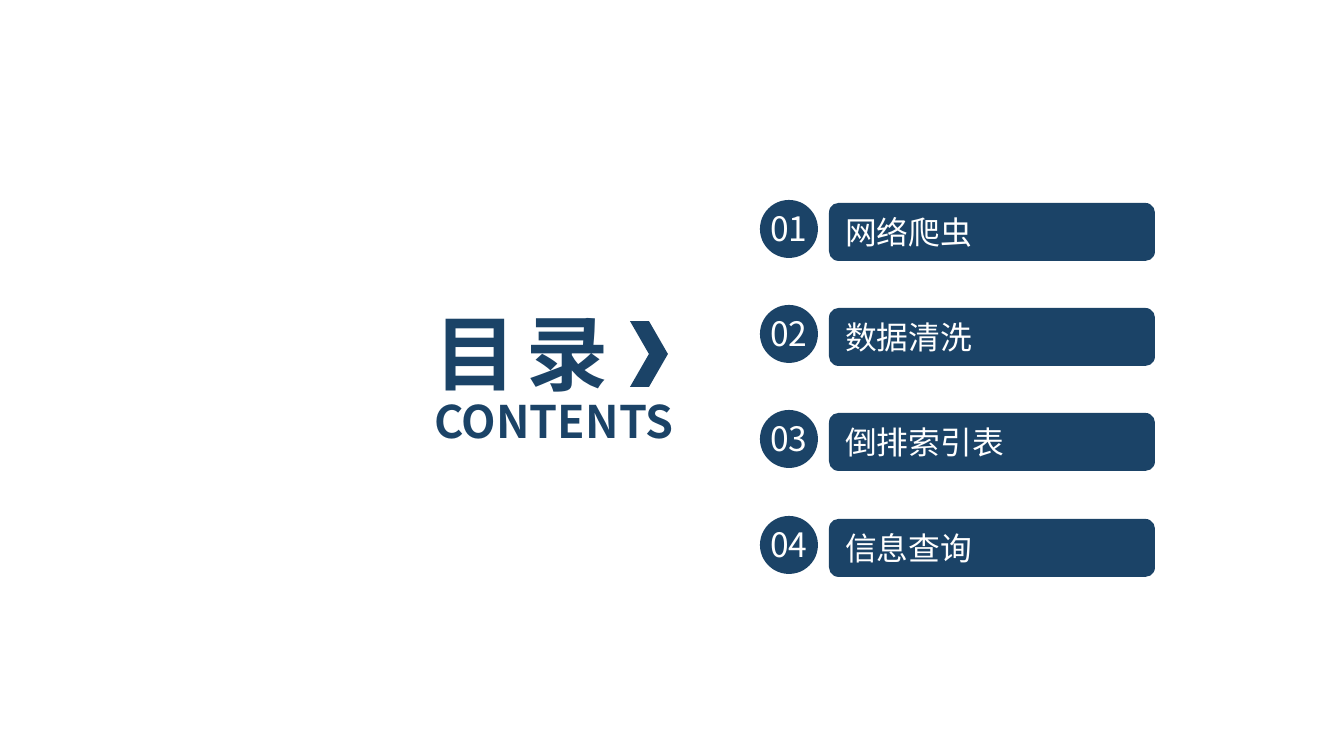
"""Build a contents slide with a heading and four numbered topic bars."""
import dataclasses

import lxml.etree
import pptx
import pptx.dml.color
import pptx.enum.shapes
import pptx.enum.text
import pptx.oxml.ns
import pptx.util

SHAPE = pptx.enum.shapes.MSO_SHAPE
ALIGN = pptx.enum.text.PP_ALIGN
SCALE = 914400 / 134.4


@dataclasses.dataclass(frozen=True)
class Theme:
    navy: str = "1B4367"
    white: str = "FFFFFF"
    font: str = "Noto Sans CJK SC"
    head: int = 44
    sub: int = 24
    badge: int = 18
    topic: int = 17


THEME = Theme()
TOPICS = ("网络爬虫", "数据清洗", "倒排索引表", "信息查询")


def px(*sizes):
    return [pptx.util.Emu(round(size * SCALE)) for size in sizes]


def paint(text):
    return pptx.dml.color.RGBColor.from_string(text)


def write(shape, text, size, color=THEME.navy, bold=False,
          align=ALIGN.LEFT, wrap=True, space=None):
    frame = shape.text_frame
    frame.auto_size = pptx.enum.text.MSO_AUTO_SIZE.NONE
    frame.word_wrap = wrap
    frame.vertical_anchor = pptx.enum.text.MSO_ANCHOR.MIDDLE
    para = frame.paragraphs[0]
    para.alignment = align
    run = para.add_run()
    run.text = text
    font = run.font
    font.name, font.size, font.bold = THEME.font, pptx.util.Pt(size), bold
    font.color.rgb = paint(color)
    props = run._r.get_or_add_rPr()
    east = lxml.etree.SubElement(props, pptx.oxml.ns.qn("a:ea"))
    east.set("typeface", THEME.font)
    if space is not None:
        props.set("spc", str(round(space * 100)))


def block(shapes, kind, *place):
    shape = shapes.add_shape(kind, *px(*place))
    shape.shadow.inherit = False
    shape.fill.solid()
    shape.fill.fore_color.rgb = paint(THEME.navy)
    shape.line.fill.background()
    return shape


def label(shapes, text, place, **form):
    write(shapes.add_textbox(*px(*place)), text, **form)


def topic(shapes, top, count, text):
    bar = block(shapes, SHAPE.ROUNDED_RECTANGLE, 829, top, 326, 58)
    write(bar, text, size=THEME.topic, color=THEME.white)
    group = shapes.add_group_shape().shapes
    block(group, SHAPE.OVAL, 760, top - 3, 58, 58)
    label(group, f"{count:02}", (754, top - 2, 70, 54), size=THEME.badge,
          color=THEME.white, align=ALIGN.CENTER)


def heading(slide):
    title = slide.shapes.title
    title.left, title.top, title.width, title.height = px(421, 295, 316, 113)
    write(title, "目 录", size=THEME.head, bold=True, space=-2.2)
    label(slide.shapes, "CONTENTS", (421, 387, 310, 67),
          size=THEME.sub, bold=True, wrap=False)
    block(slide.shapes, SHAPE.CHEVRON, 630, 321, 38, 66)


def main():
    deck = pptx.Presentation()
    deck.slide_width, deck.slide_height = px(1344, 756)
    slide = deck.slides.add_slide(deck.slide_layouts[5])
    heading(slide)
    for step, text in enumerate(TOPICS):
        topic(slide.shapes, 203 + step * 316 // 3, step + 1, text)
    deck.save("out.pptx")


if __name__ == "__main__":
    main()
